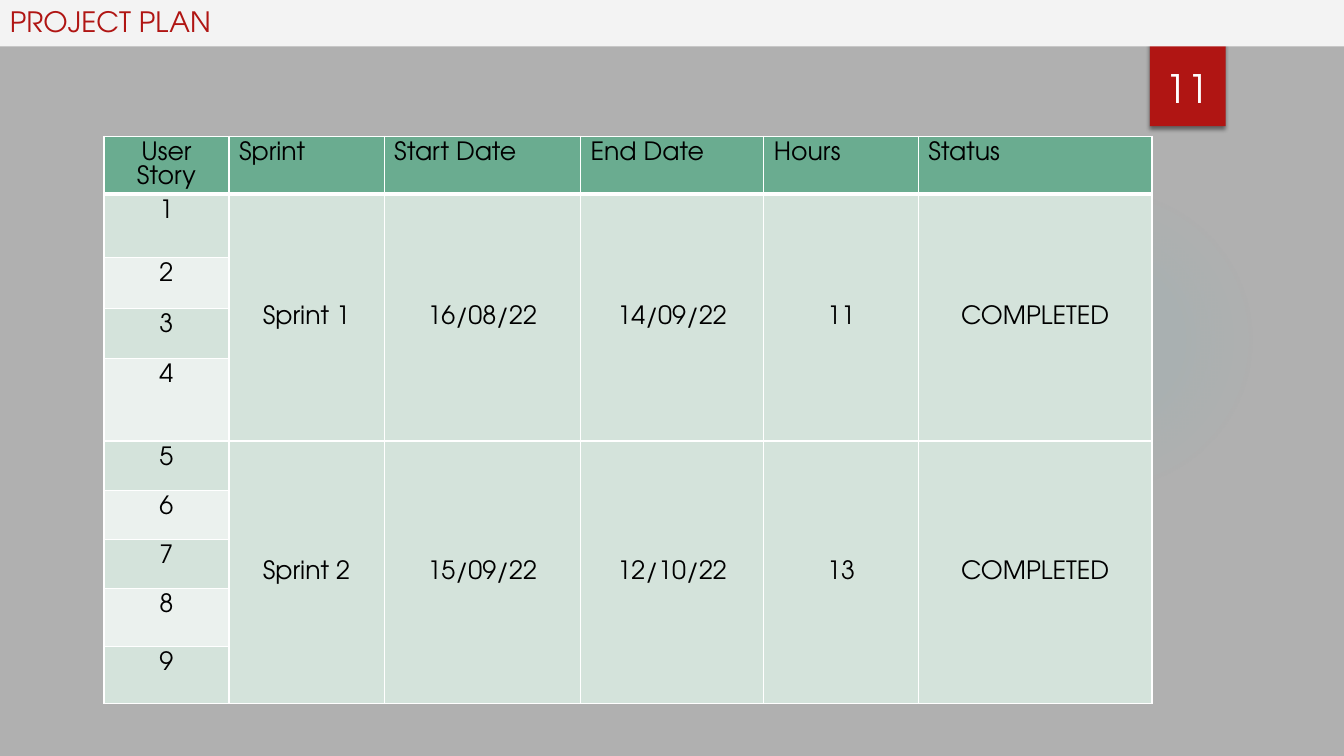
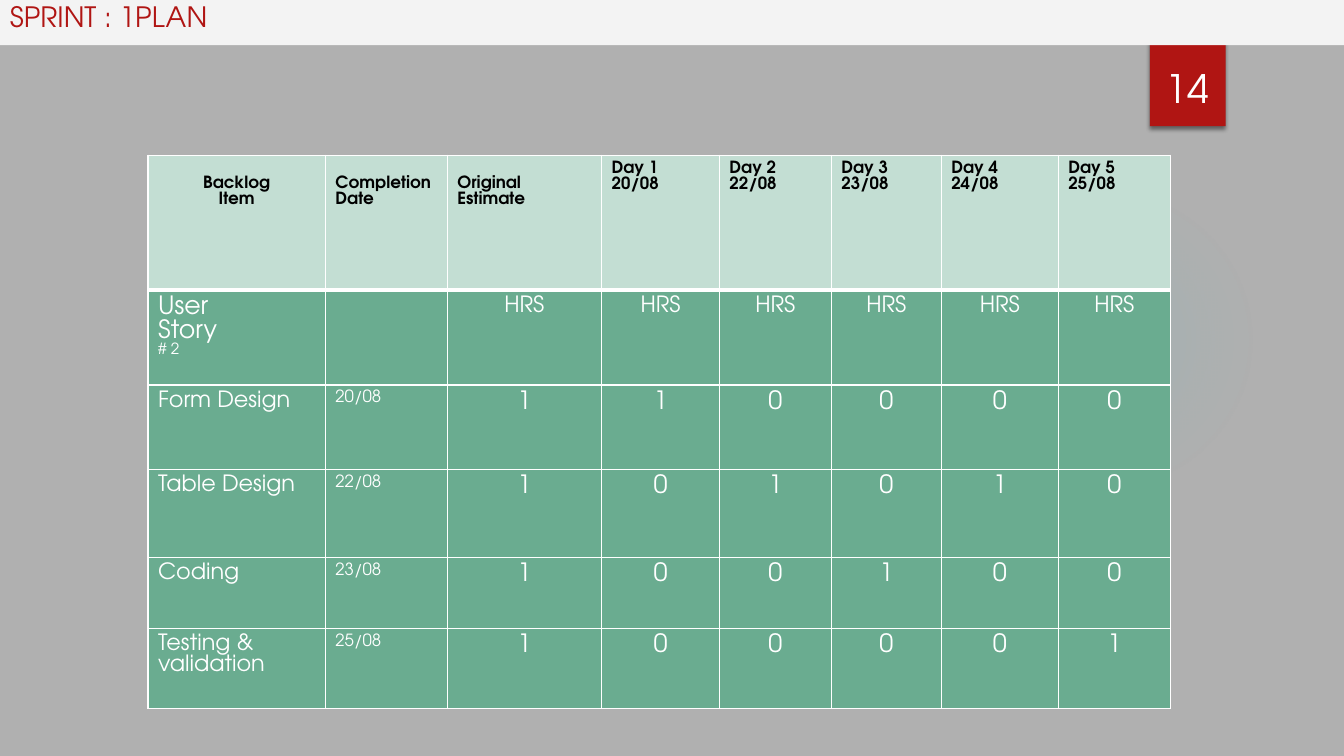
"""Build two project planning slides that share a title band, a page tab and a table style."""
from dataclasses import dataclass

from lxml import etree
from pptx import Presentation
from pptx.dml.color import RGBColor
from pptx.enum.shapes import MSO_SHAPE
from pptx.enum.text import MSO_ANCHOR, PP_ALIGN
from pptx.oxml.ns import qn
from pptx.util import Cm, Pt

RECTANGLE, OVAL = MSO_SHAPE.RECTANGLE, MSO_SHAPE.OVAL
TOP, MIDDLE, BOTTOM = MSO_ANCHOR.TOP, MSO_ANCHOR.MIDDLE, MSO_ANCHOR.BOTTOM
LEFT, CENTER = PP_ALIGN.LEFT, PP_ALIGN.CENTER

FONT = "TeX Gyre Adventor"
COLORS = {
    "background": "B0B0B0",
    "band": "F3F3F3",
    "accent": "B01513",
    "glow": "50B9C1",
    "green": "6AAC90",
    "mint": "C3DED3",
    "pale": "D4E3DB",
    "paler": "EBF1EE",
    "black": "000000",
    "white": "FFFFFF",
}
SLIDE_WIDTH, SLIDE_HEIGHT = 33.87, 19.05
TIGHT_LINE = 0.95
CELL_MARGIN_TOP, LOWERED_MARGIN_TOP = 0.13, 0.53
THIN_BORDER, HEADER_BORDER = 1, 3
GLOW_STOPS = ((0, 7), (36, 6), (69, 0))


@dataclass(frozen=True)
class Box:
    left: float
    top: float
    width: float
    height: float

    def lengths(self) -> tuple:
        return Cm(self.left), Cm(self.top), Cm(self.width), Cm(self.height)


@dataclass(frozen=True)
class CellStyle:
    fill: str
    color: str = "black"
    sizes: tuple = (18,)
    bold: bool = False
    align: int = CENTER
    anchor: int = TOP
    margin_top: float = CELL_MARGIN_TOP


@dataclass(frozen=True)
class TableCell:
    text: str
    style: CellStyle
    row_span: int = 1


@dataclass(frozen=True)
class TablePlan:
    left: float
    top: float
    columns: tuple
    rows: tuple
    cells: dict


@dataclass(frozen=True)
class SlidePlan:
    title: str
    title_box: Box
    number: str
    table: TablePlan


def rgb(name: str) -> RGBColor:
    return RGBColor.from_string(COLORS[name])


def add_child(parent, tag: str, **attributes):
    return etree.SubElement(parent, qn(tag), {key: str(value) for key, value in attributes.items()})


def add_color(parent, name: str, alpha: int = 100) -> None:
    color = add_child(parent, "a:srgbClr", val=COLORS[name])
    if alpha < 100:
        add_child(color, "a:alpha", val=alpha * 1000)


def format_text(paragraph, size: int, color: str, bold: bool = False) -> None:
    for run in paragraph.runs:
        run.font.name = FONT
        run.font.size = Pt(size)
        run.font.bold = bold
        run.font.color.rgb = rgb(color)


def add_label(shape, text: str, size: int, color: str, align: int, anchor: int) -> None:
    text_frame = shape.text_frame
    text_frame.text = text
    text_frame.word_wrap = True
    text_frame.vertical_anchor = anchor
    paragraph = text_frame.paragraphs[0]
    paragraph.alignment = align
    format_text(paragraph, size, color)


def add_block(slide, kind: int, box: Box, fill: str):
    shape = slide.shapes.add_shape(kind, *box.lengths())
    shape.shadow.inherit = False
    shape.fill.solid()
    shape.fill.fore_color.rgb = rgb(fill)
    shape.line.fill.background()
    return shape


def add_glow(slide) -> None:
    glow = add_block(slide, OVAL, Box(23.9, 4.65, 7.82, 7.82), "glow")
    properties = glow.element.spPr
    gradient = etree.Element(qn("a:gradFill"), rotWithShape="1")
    stops = add_child(gradient, "a:gsLst")
    for position, alpha in GLOW_STOPS:
        add_color(add_child(stops, "a:gs", pos=position * 1000), "glow", alpha)
    center = add_child(gradient, "a:path", path="circle")
    add_child(center, "a:fillToRect", l=50000, t=50000, r=50000, b=50000)
    properties.replace(properties.find(qn("a:solidFill")), gradient)


def add_page_tab(slide) -> None:
    tab = add_block(slide, RECTANGLE, Box(28.98, 0, 1.91, 3.18), "accent")
    effects = tab.element.spPr.find(qn("a:effectLst"))
    shadow = add_child(effects, "a:outerShdw", blurRad=Pt(3), dist=Pt(2), dir=5400000, rotWithShape=0)
    add_color(shadow, "black", 45)


def add_frame(slide, plan: SlidePlan) -> None:
    add_glow(slide)
    add_page_tab(slide)
    band = add_block(slide, RECTANGLE, plan.title_box, "band")
    add_label(band, plan.title, 20, "accent", LEFT, TOP)
    number = slide.shapes.add_textbox(*Box(28.75, 0.81, 2.34, 2.13).lengths())
    add_label(number, plan.number, 28, "white", CENTER, BOTTOM)


def add_borders(cell, row: int) -> None:
    widths = {
        "a:lnL": THIN_BORDER,
        "a:lnR": THIN_BORDER,
        "a:lnT": HEADER_BORDER if row == 1 else THIN_BORDER,
        "a:lnB": HEADER_BORDER if row == 0 else THIN_BORDER,
    }
    properties = cell._tc.get_or_add_tcPr()
    for tag, width in widths.items():
        border = add_child(properties, tag, w=Pt(width))
        add_color(add_child(border, "a:solidFill"), "white")


def fill_cell(cell, content: TableCell) -> None:
    style = content.style
    cell.fill.solid()
    cell.fill.fore_color.rgb = rgb(style.fill)
    cell.vertical_anchor = style.anchor
    cell.margin_top = Cm(style.margin_top)
    cell.text_frame.text = content.text
    for index, paragraph in enumerate(cell.text_frame.paragraphs):
        size = style.sizes[min(index, len(style.sizes) - 1)]
        paragraph.alignment = style.align
        paragraph.line_spacing = Pt(TIGHT_LINE * size)
        format_text(paragraph, size, style.color, style.bold)


def add_table(slide, plan: TablePlan) -> None:
    box = Box(plan.left, plan.top, sum(plan.columns), sum(plan.rows))
    table = slide.shapes.add_table(len(plan.rows), len(plan.columns), *box.lengths()).table
    table.first_row = table.horz_banding = False
    for column, width in zip(table.columns, plan.columns):
        column.width = Cm(width)
    for row, height in zip(table.rows, plan.rows):
        row.height = Cm(height)
    spanned = TableCell("", CellStyle("pale"))
    for row in range(len(plan.rows)):
        for column in range(len(plan.columns)):
            cell = table.cell(row, column)
            content = plan.cells.get((row, column), spanned)
            add_borders(cell, row)
            fill_cell(cell, content)
            if content.row_span > 1:
                cell.merge(table.cell(row + content.row_span - 1, column))


def project_cells() -> dict:
    header = ("User Story", "Sprint", "Start Date", "End Date", "Hours", "Status")
    sprints = (
        (1, 4, ("Sprint 1", "16/08/22", "14/09/22", "11", "COMPLETED")),
        (5, 5, ("Sprint 2", "15/09/22", "12/10/22", "13", "COMPLETED")),
    )
    cells = {}
    for column, text in enumerate(header):
        cells[0, column] = TableCell(text, CellStyle("green", align=LEFT if column else CENTER))
    for story in range(1, 10):
        cells[story, 0] = TableCell(str(story), CellStyle("pale" if story % 2 else "paler"))
    for first_row, stories, texts in sprints:
        for column, text in enumerate(texts, 1):
            cells[first_row, column] = TableCell(text, CellStyle("pale", anchor=MIDDLE), stories)
    return cells


def sprint_cells() -> dict:
    header = ["Backlog\nItem", "Completion Date", "Original\nEstimate"]
    header += [f"Day {day}\n{date}/08" for day, date in enumerate((20, 22, 23, 24, 25), 1)]
    tasks = (
        ("Form Design", "20/08", "110000"),
        ("Table Design", "22/08", "101010"),
        ("Coding", "23/08", "100100"),
        ("Testing & validation", "25/08", "100001"),
    )
    story = CellStyle("green", "white", (18, 18, 11), align=LEFT)
    unit = CellStyle("green", "white", (16,))
    task_name = CellStyle("green", "white", (16,), align=LEFT)
    task_date = CellStyle("green", "white", (12,), align=LEFT)
    hours = CellStyle("green", "white")
    cells = {}
    for column, text in enumerate(header):
        margin_top = LOWERED_MARGIN_TOP if column < 3 else CELL_MARGIN_TOP
        align = LEFT if column else CENTER
        style = CellStyle("mint", sizes=(12,), bold=True, align=align, margin_top=margin_top)
        cells[0, column] = TableCell(text, style)
    cells[1, 0] = TableCell("User\nStory \n# 2", story)
    cells[1, 1] = TableCell("", task_date)
    for column in range(2, len(header)):
        cells[1, column] = TableCell("HRS", unit)
    for row, (name, date, values) in enumerate(tasks, 2):
        cells[row, 0] = TableCell(name, task_name)
        cells[row, 1] = TableCell(date, task_date)
        for column, value in enumerate(values, 2):
            cells[row, column] = TableCell(value, hours)
    return cells


def main() -> None:
    project_table = TablePlan(
        2.62, 3.43,
        (3.15, 3.91, 4.95, 4.62, 3.89, 5.89),
        (1.24, 1.6, 1.27, 1.27, 2.08, 1.24, 1.24, 1.24, 1.45, 1.45),
        project_cells(),
    )
    sprint_table = TablePlan(
        3.73, 3.91,
        (4.47, 3.07, 3.89, 2.97, 2.82, 2.77, 2.95, 2.82),
        (3.4, 2.39, 2.13, 2.21, 1.8, 2.01),
        sprint_cells(),
    )
    plans = (
        SlidePlan("PROJECT PLAN", Box(0, 0, SLIDE_WIDTH, 1.17), "11", project_table),
        SlidePlan("SPRINT : 1PLAN", Box(0, -0.13, SLIDE_WIDTH, 1.27), "14", sprint_table),
    )
    presentation = Presentation()
    presentation.slide_width = Cm(SLIDE_WIDTH)
    presentation.slide_height = Cm(SLIDE_HEIGHT)
    background = presentation.slide_master.background.fill
    background.solid()
    background.fore_color.rgb = rgb("background")
    for plan in plans:
        slide = presentation.slides.add_slide(presentation.slide_layouts[6])
        add_frame(slide, plan)
        add_table(slide, plan.table)
    presentation.save("out.pptx")


main()
